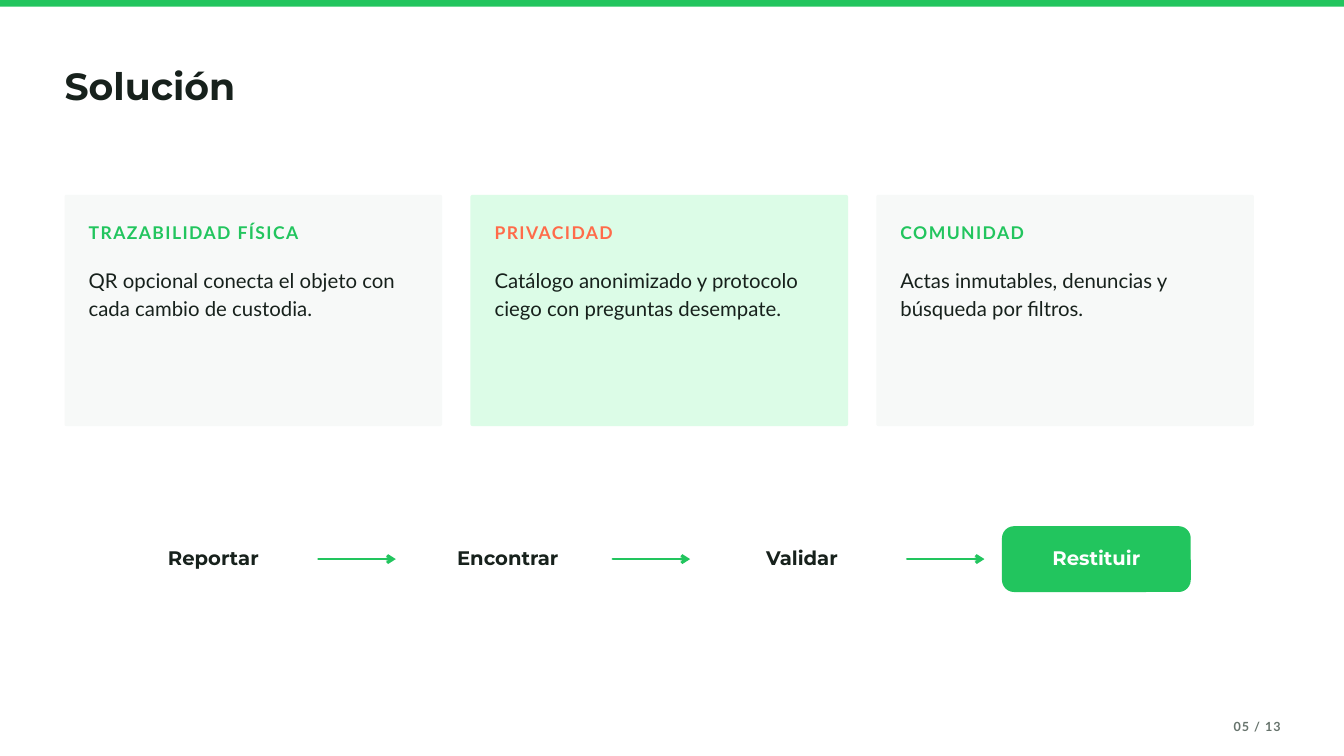
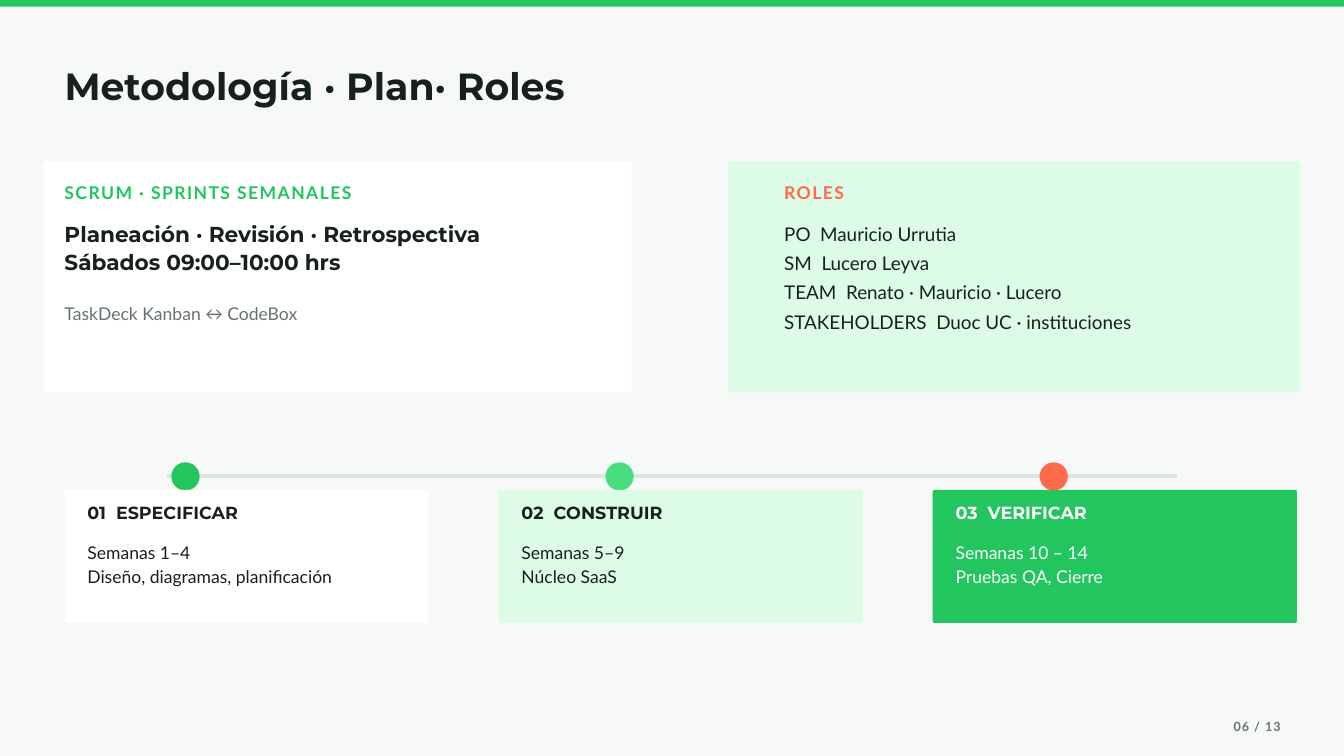
from lxml import etree
from pptx import Presentation
from pptx.dml.color import RGBColor
from pptx.enum.shapes import MSO_CONNECTOR, MSO_SHAPE
from pptx.enum.text import MSO_ANCHOR, MSO_AUTO_SIZE, PP_ALIGN
from pptx.oxml.ns import qn
from pptx.util import Inches, Pt

LEFT, CENTER, RIGHT = PP_ALIGN.LEFT, PP_ALIGN.CENTER, PP_ALIGN.RIGHT
TOP, MIDDLE = MSO_ANCHOR.TOP, MSO_ANCHOR.MIDDLE
NO_AUTOFIT = MSO_AUTO_SIZE.NONE
RECT, ROUNDED, OVAL = MSO_SHAPE.RECTANGLE, MSO_SHAPE.ROUNDED_RECTANGLE, MSO_SHAPE.OVAL
STRAIGHT = MSO_CONNECTOR.STRAIGHT

HEAD, BODY = "Montserrat", "Lato"
MARGIN = 0.96
C = {
    "ink": "17211C",
    "muted": "66736C",
    "green": "22C55E",
    "light_green": "4ADE80",
    "mint": "DCFCE7",
    "coral": "FF6B4A",
    "mist": "F7F9F8",
    "rail": "DCE5DF",
    "white": "FFFFFF",
}


def rgb(name):
    return RGBColor.from_string(C[name])


def write(tf, text, size=18.8, font=BODY, color="ink", bold=False,
          leading=25.3, align=LEFT, spacing=0, anchor=TOP):
    tf.word_wrap = True
    tf.auto_size = NO_AUTOFIT
    tf.vertical_anchor = anchor
    tf.margin_left = tf.margin_right = tf.margin_top = tf.margin_bottom = 0
    for i, line in enumerate(text.split("\n")):
        p = tf.add_paragraph() if i else tf.paragraphs[0]
        p.alignment = align
        p.line_spacing = Pt(leading)
        p.space_before = p.space_after = Pt(0)
        r = p.add_run()
        r.text = line
        r.font.name = font
        r.font.size = Pt(size)
        r.font.bold = bold
        r.font.color.rgb = rgb(color)
        if spacing:
            r._r.get_or_add_rPr().set("spc", str(round(spacing * 100)))


def add_text(s, x, y, w, h, text, **fmt):
    box = s.shapes.add_textbox(Inches(x), Inches(y), Inches(w), Inches(h))
    write(box.text_frame, text, **fmt)


def add_label(s, x, y, text, color):
    add_text(s, x, y, 4.9, 0.35, text, color=color, bold=True, leading=26.2, spacing=1.5)


def add_block(s, x, y, w, h, color, kind=RECT, radius=0):
    sp = s.shapes.add_shape(kind, Inches(x), Inches(y), Inches(w), Inches(h))
    sp.shadow.inherit = False
    sp.fill.solid()
    sp.fill.fore_color.rgb = rgb(color)
    sp.line.fill.background()
    if kind == ROUNDED:
        sp.adjustments[0] = radius / min(w, h)
    return sp


def add_card(s, x, y, w, h, color):
    add_block(s, x, y, w, h, color, ROUNDED, 0.03)


def add_line(s, x1, x2, y, color, width, arrow=False):
    line = s.shapes.add_connector(STRAIGHT, Inches(x1), Inches(y), Inches(x2), Inches(y))
    line.line.color.rgb = rgb(color)
    line.line.width = Pt(width)
    ln = line.line._get_or_add_ln()
    ln.set("cap", "rnd")
    if arrow:
        etree.SubElement(ln, qn("a:tailEnd"), type="arrow")
    etree.SubElement(line._element.spPr, qn("a:effectLst"))


def new_slide(prs, title, page, background):
    s = prs.slides.add_slide(prs.slide_layouts[5])
    s.background.fill.solid()
    s.background.fill.fore_color.rgb = rgb(background)
    t = s.shapes.title
    t.left, t.top, t.width, t.height = (Inches(v) for v in (MARGIN, 1.02, 15.62, 0.59))
    write(t.text_frame, title, size=40.5, font=HEAD, bold=True, leading=42.5)
    add_block(s, 0, 0, 20, 0.1, "green")
    add_text(s, 18.33, 10.66, 0.73, 0.24, page, size=13.5, color="muted",
             bold=True, leading=18.9, align=RIGHT, spacing=1.1)
    return s


def add_pillar(s, x, fill, label, accent, text):
    add_card(s, x, 2.9, 5.62, 3.44, fill)
    add_label(s, x + 0.36, 3.26, label, accent)
    add_text(s, x + 0.36, 3.95, 4.9, 0.8, text, size=21.8, leading=29.4)


def add_step(s, x, text, fill, color):
    sp = add_block(s, x, 7.83, 2.81, 0.98, fill, ROUNDED, 0.18)
    write(sp.text_frame, text, size=21, font=HEAD, color=color, bold=True,
          leading=22.1, align=CENTER, anchor=MIDDLE)


def add_phase(s, x, fill, dot, color, heading, text):
    add_block(s, x + 1.59, 6.88, 0.42, 0.42, dot, OVAL)
    add_card(s, x, 7.29, 5.42, 1.98, fill)
    add_text(s, x + 0.34, 7.51, 4.48, 0.28, heading, font=HEAD, color=color,
             bold=True, leading=19.7)
    add_text(s, x + 0.34, 8.03, 4.48, 0.68, text, color=color)


def solution_slide(prs):
    s = new_slide(prs, "Solución", "05 / 13", "white")
    pillars = [
        ("mist", "TRAZABILIDAD FÍSICA", "green",
         "QR opcional conecta el objeto con cada cambio de custodia."),
        ("mint", "PRIVACIDAD", "coral",
         "Catálogo anonimizado y protocolo ciego con preguntas desempate."),
        ("mist", "COMUNIDAD", "green",
         "Actas inmutables, denuncias y búsqueda por filtros."),
    ]
    for i, pillar in enumerate(pillars):
        add_pillar(s, MARGIN + 6.04 * i, *pillar)

    steps = ["Reportar", "Encontrar", "Validar", "Restituir"]
    for i, step in enumerate(steps):
        x = 1.77 + 4.38 * i
        last = i == len(steps) - 1
        add_step(s, x, step, "green" if last else "white", "white" if last else "ink")
        if not last:
            add_line(s, x + 2.97, x + 4.12, 8.32, "green", 3, arrow=True)


def method_slide(prs):
    s = new_slide(prs, "Metodología · Plan· Roles", "06 / 13", "mist")
    add_card(s, 0.65, 2.4, 8.75, 3.44, "white")
    add_label(s, MARGIN, 2.65, "SCRUM · SPRINTS SEMANALES", "green")
    add_text(s, MARGIN, 3.25, 6.77, 0.83,
             "Planeación · Revisión · Retrospectiva\nSábados 09:00–10:00 hrs",
             size=23.2, font=HEAD, bold=True, leading=30.2)
    add_text(s, MARGIN, 4.47, 5.83, 0.34, "TaskDeck Kanban ↔ CodeBox", color="muted")

    add_card(s, 10.83, 2.4, 8.52, 3.44, "mint")
    add_label(s, 11.67, 2.65, "ROLES", "coral")
    roles = [
        "PO  Mauricio Urrutia",
        "SM  Lucero Leyva",
        "TEAM  Renato · Mauricio · Lucero",
        "STAKEHOLDERS  Duoc UC · instituciones",
    ]
    add_text(s, 11.67, 3.21, 7.08, 1.68, "\n".join(roles), size=20.2, leading=31.4)

    add_line(s, 2.5, 17.5, 7.08, "rail", 3.75)
    phases = [
        ("white", "green", "ink", "01  ESPECIFICAR",
         "Semanas 1–4\nDiseño, diagramas, planificación"),
        ("mint", "light_green", "ink", "02  CONSTRUIR",
         "Semanas 5–9\nNúcleo SaaS"),
        ("green", "coral", "white", "03  VERIFICAR",
         "Semanas 10 – 14\nPruebas QA, Cierre"),
    ]
    for i, phase in enumerate(phases):
        add_phase(s, MARGIN + 6.46 * i, *phase)


def main():
    prs = Presentation()
    prs.slide_width, prs.slide_height = Inches(20), Inches(11.25)
    solution_slide(prs)
    method_slide(prs)
    prs.save("out.pptx")


if __name__ == "__main__":
    main()
